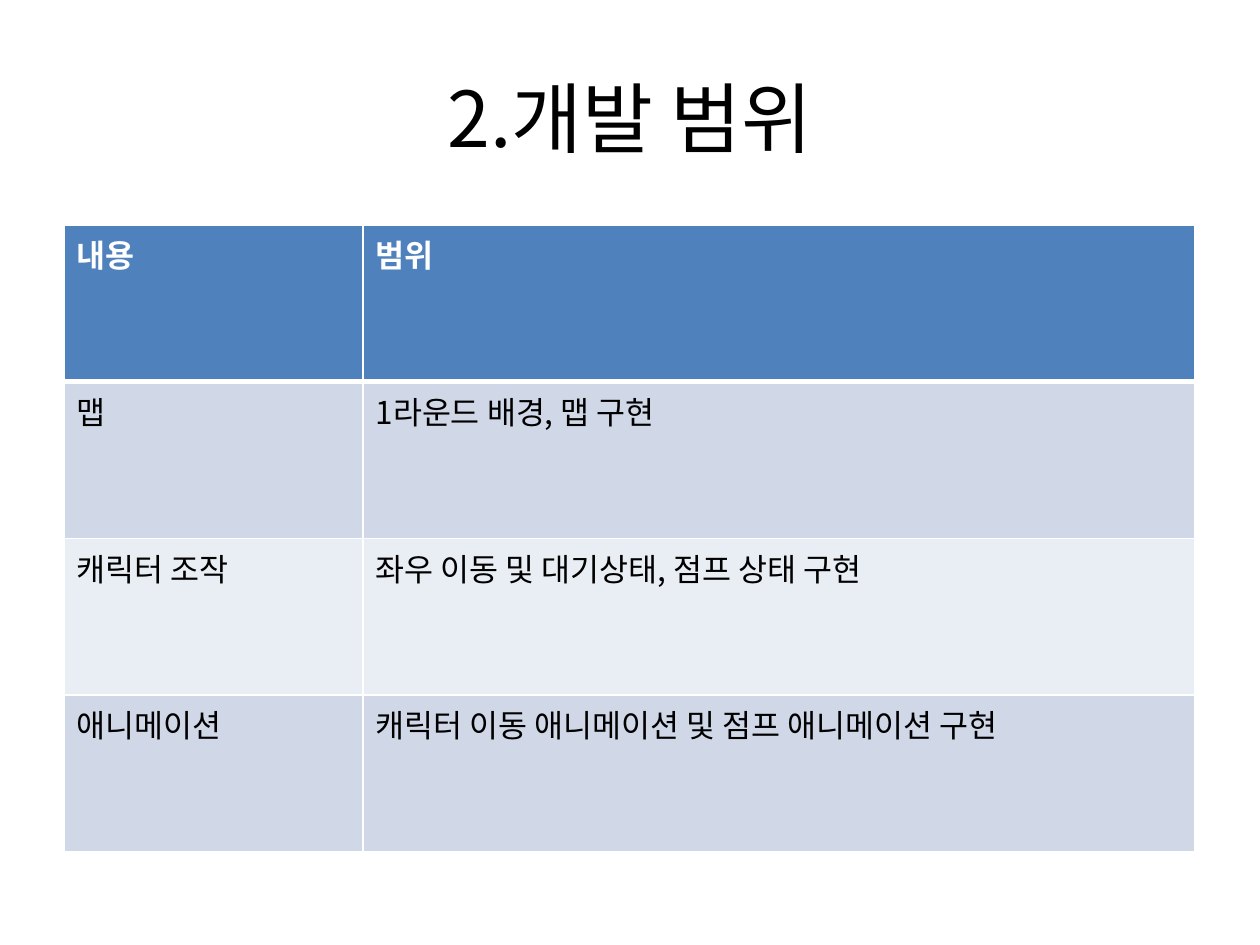
from dataclasses import dataclass

from lxml.etree import SubElement
from pptx import Presentation
from pptx.dml.color import RGBColor
from pptx.enum.text import MSO_ANCHOR, PP_ALIGN
from pptx.oxml import parse_xml
from pptx.oxml.ns import nsdecls, qn
from pptx.util import Emu, Pt

EMU_PER_PX = 914400 / 126


def px(length):
    return Emu(round(length * EMU_PER_PX))


@dataclass(frozen=True)
class Theme:
    font: str = "Noto Sans CJK KR"
    text: str = "000000"
    header_text: str = "FFFFFF"
    header_fill: str = "4F81BD"
    bands: tuple = ("D0D8E8", "E9EDF4")
    border: str = "FFFFFF"
    title_size: int = 44
    body_size: int = 18
    border_width: int = 1
    header_border_width: int = 3


class SlideBuilder:
    def __init__(self, slide, theme):
        self.slide = slide
        self.theme = theme

    def style(self, paragraph, size, color, bold=False):
        font = paragraph.font
        font.name, font.size, font.bold = self.theme.font, Pt(size), bold
        font.color.rgb = RGBColor.from_string(color)
        # East Asian text has its own typeface setting
        properties = paragraph._p.pPr.find(qn("a:defRPr"))
        SubElement(properties, qn("a:ea"), typeface=self.theme.font)

    def title(self, text, left, top, width, height):
        box = self.slide.shapes.add_textbox(px(left), px(top), px(width), px(height))
        frame = box.text_frame
        frame.word_wrap = True
        frame.vertical_anchor = MSO_ANCHOR.MIDDLE
        frame.text = text
        paragraph = frame.paragraphs[0]
        paragraph.alignment = PP_ALIGN.CENTER
        self.style(paragraph, self.theme.title_size, self.theme.text)

    def borders(self, cell, top, bottom):
        one = self.theme.border_width
        sides = (("L", one), ("R", one), ("T", top), ("B", bottom))
        properties = cell._tc.get_or_add_tcPr()
        for index, (side, width) in enumerate(sides):
            properties.insert(index, parse_xml(
                f'<a:ln{side} {nsdecls("a")} w="{Pt(width)}"><a:solidFill>'
                f'<a:srgbClr val="{self.theme.border}"/></a:solidFill></a:ln{side}>'))

    def table(self, rows, left, top, column_widths, height):
        theme = self.theme
        table = self.slide.shapes.add_table(
            len(rows), len(column_widths), px(left), px(top),
            px(sum(column_widths)), px(height)).table
        for column, width in zip(table.columns, column_widths):
            column.width = px(width)
        for row_index, texts in enumerate(rows):
            table.rows[row_index].height = px(height / len(rows))
            header = row_index == 0
            fill = theme.header_fill if header else theme.bands[(row_index - 1) % 2]
            color = theme.header_text if header else theme.text
            # The line under the header is heavier
            above = theme.header_border_width if row_index == 1 else theme.border_width
            below = theme.header_border_width if header else theme.border_width
            for column_index, text in enumerate(texts):
                cell = table.cell(row_index, column_index)
                cell.text = text
                cell.fill.solid()
                cell.fill.fore_color.rgb = RGBColor.from_string(fill)
                self.style(cell.text_frame.paragraphs[0], theme.body_size, color, header)
                self.borders(cell, above, below)


def main():
    presentation = Presentation()
    presentation.slide_width, presentation.slide_height = px(1260), px(945)
    slide = presentation.slides.add_slide(presentation.slide_layouts[6])
    builder = SlideBuilder(slide, Theme())

    # Heading
    builder.title("2.개발 범위", 63, 38, 1134, 158)

    # Scope of development
    builder.table(
        [
            ("내용", "범위"),
            ("맵", "1라운드 배경, 맵 구현"),
            ("캐릭터 조작", "좌우 이동 및 대기상태, 점프 상태 구현"),
            ("애니메이션", "캐릭터 이동 애니메이션 및 점프 애니메이션 구현"),
        ],
        left=64, top=225, column_widths=(299, 832), height=627)

    presentation.save("out.pptx")


if __name__ == "__main__":
    main()
